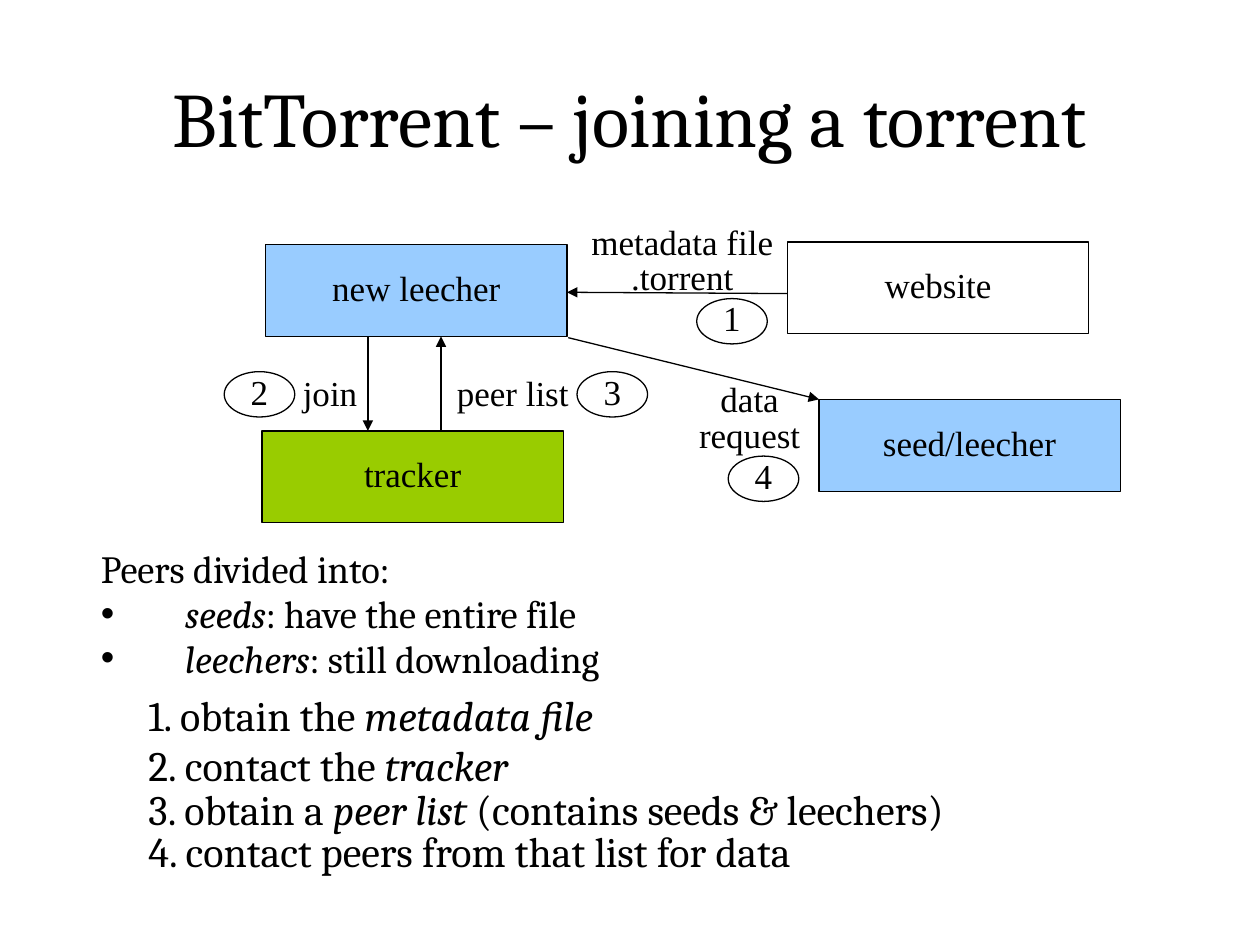
"""Build a slide showing how a peer joins a torrent."""
from typing import NamedTuple

from lxml import etree
from pptx import Presentation
from pptx.dml.color import RGBColor
from pptx.enum.shapes import MSO_CONNECTOR, MSO_SHAPE
from pptx.enum.text import MSO_ANCHOR, MSO_AUTO_SIZE, PP_ALIGN
from pptx.oxml.ns import qn
from pptx.util import Inches, Pt

RECT, OVAL = MSO_SHAPE.RECTANGLE, MSO_SHAPE.OVAL
NODE = MSO_SHAPE.FLOWCHART_PROCESS
LINE = MSO_CONNECTOR.STRAIGHT
CENTER, LEFT = PP_ALIGN.CENTER, PP_ALIGN.LEFT
TOP, MIDDLE = MSO_ANCHOR.TOP, MSO_ANCHOR.MIDDLE
FIXED = MSO_AUTO_SIZE.NONE
COLORS = {"ink": "000000", "paper": "FFFFFF", "peer": "99CCFF", "tracker": "99CC00"}
SERIF, ROMAN = "Cambria", "Times New Roman"


class Box(NamedTuple):
    text: str
    left: float
    top: float
    width: float
    height: float
    fill: str = ""


class Arrow(NamedTuple):
    x1: float
    y1: float
    x2: float
    y2: float


class Step(NamedTuple):
    text: str
    top: float
    space: float = 1.0


LABELS = [
    Box("data\vrequest", 5.25, 3, 1.4, 0.73, "paper"),
    Box("peer list", 3.47, 2.95, 1.2, 0.55, "paper"),
    Box("metadata file\n.torrent", 4.52, 1.75, 1.79, 0.57, "paper"),
    Box("join", 2.22, 2.95, 0.8, 0.55, "paper"),
]
ARROWS = [
    Arrow(6.25, 2.33, 4.5, 2.32),
    Arrow(4.51, 2.68, 6.5, 3.17),
    Arrow(2.92, 2.67, 2.92, 3.42),
    Arrow(3.5, 3.42, 3.5, 2.67),
]
NODES = [
    Box("new leecher", 2.11, 1.94, 2.39, 0.73, "peer"),
    Box("seed/leecher", 6.5, 3.17, 2.39, 0.73, "peer"),
    Box("website", 6.25, 1.92, 2.39, 0.73),
    Box("tracker", 2.08, 3.42, 2.39, 0.73, "tracker"),
]
BADGES = [
    Box(str(num), left, top, 0.56, 0.36)
    for num, (left, top) in enumerate(
        [(5.53, 2.37), (1.78, 2.95), (4.58, 2.95), (5.78, 3.62)], 1)
]
PEERS = ["Peers divided into:", "*seeds*: have the entire file",
         "*leechers*: still downloading"]
STEPS = [
    Step("1. obtain the *metadata file*", 5.5, 0.8),
    Step("2. contact the *tracker*", 5.82),
    Step("3. obtain a *peer list* (contains seeds & leechers)", 6.17),
    Step("4. contact peers from that list for data", 6.5),
]


def color(name: str) -> RGBColor:
    return RGBColor.from_string(COLORS[name])


def style(para, font: str, size: float) -> None:
    for run in para.runs:
        run.font.name, run.font.size = font, Pt(size)
        run.font.color.rgb = color("ink")


def write(para, text: str, size: float) -> None:
    """Write text in which asterisks enclose italic words."""
    for spot, part in enumerate(text.split("*")):
        if part:
            run = para.add_run()
            run.text = part
            run.font.italic = spot % 2 == 1
    style(para, SERIF, size)


def hang(para, depth: float, bullet: str = "") -> None:
    props = para._p.get_or_add_pPr()
    props.set("marL", str(Inches(depth)))
    props.set("indent", str(-Inches(depth)))
    if bullet:
        etree.SubElement(props, qn("a:buChar")).set("char", bullet)
    else:
        etree.SubElement(props, qn("a:buNone"))


def place(shape, left: float, top: float, width: float, height: float) -> None:
    shape.left, shape.top = Inches(left), Inches(top)
    shape.width, shape.height = Inches(width), Inches(height)


def draw_box(slide, box: Box, kind, anchor=MIDDLE, edge: bool = True) -> None:
    shape = slide.shapes.add_shape(kind, *map(Inches, box[1:5]))
    shape.shadow.inherit = False
    if box.fill:
        shape.fill.solid()
        shape.fill.fore_color.rgb = color(box.fill)
    else:
        shape.fill.background()
    if edge:
        shape.line.color.rgb = color("ink")
        shape.line.width = Pt(0.75)
    else:
        shape.line.fill.background()
    frame = shape.text_frame
    frame.text = box.text
    frame.vertical_anchor = anchor
    frame.word_wrap = kind != OVAL
    if kind == OVAL:
        frame.margin_left = frame.margin_right = 0
        frame.margin_top = frame.margin_bottom = 0
    for para in frame.paragraphs:
        para.alignment, para.line_spacing = CENTER, 0.85
        style(para, ROMAN, 20)


def draw_arrow(slide, arrow: Arrow) -> None:
    link = slide.shapes.add_connector(LINE, *map(Inches, arrow))
    link.line.color.rgb = color("ink")
    link.line.width = Pt(0.75)
    etree.SubElement(link.line._get_or_add_ln(), qn("a:tailEnd")).set("type", "triangle")
    etree.SubElement(link._element.spPr, qn("a:effectLst"))


def draw_step(slide, step: Step) -> None:
    box = slide.shapes.add_textbox(*map(Inches, (1.08, step.top, 8.83, 0.5)))
    box.text_frame.word_wrap = True
    para = box.text_frame.paragraphs[0]
    hang(para, 0.5)
    para.line_spacing = step.space
    write(para, step.text, 24)


def fill_title(title) -> None:
    place(title, 0.5, 0.3, 9, 1.25)
    frame = title.text_frame
    frame.text = "BitTorrent – joining a torrent"
    frame.vertical_anchor, frame.auto_size = MIDDLE, FIXED
    frame.paragraphs[0].alignment = CENTER
    style(frame.paragraphs[0], SERIF, 44)


def fill_body(body) -> None:
    place(body, 0.7, 4.35, 5.17, 1.22)
    frame = body.text_frame
    frame.vertical_anchor, frame.auto_size = TOP, FIXED
    for spot, text in enumerate(PEERS):
        para = frame.add_paragraph() if spot else frame.paragraphs[0]
        hang(para, 0.67, "•" if spot else "")
        para.alignment, para.line_spacing = LEFT, 0.8
        para.space_before = Pt(4.4 if spot else 0)
        write(para, text, 22)


def main() -> None:
    deck = Presentation()
    deck.slide_width, deck.slide_height = Inches(10), Inches(7.5)
    slide = deck.slides.add_slide(deck.slide_layouts[1])
    fill_title(slide.shapes.title)
    fill_body(slide.placeholders[1])
    for label in LABELS:
        draw_box(slide, label, RECT, TOP, False)
    for arrow in ARROWS:
        draw_arrow(slide, arrow)
    for node in NODES:
        draw_box(slide, node, NODE)
    for badge in BADGES:
        draw_box(slide, badge, OVAL)
    for step in STEPS:
        draw_step(slide, step)
    deck.save("out.pptx")


if __name__ == "__main__":
    main()
